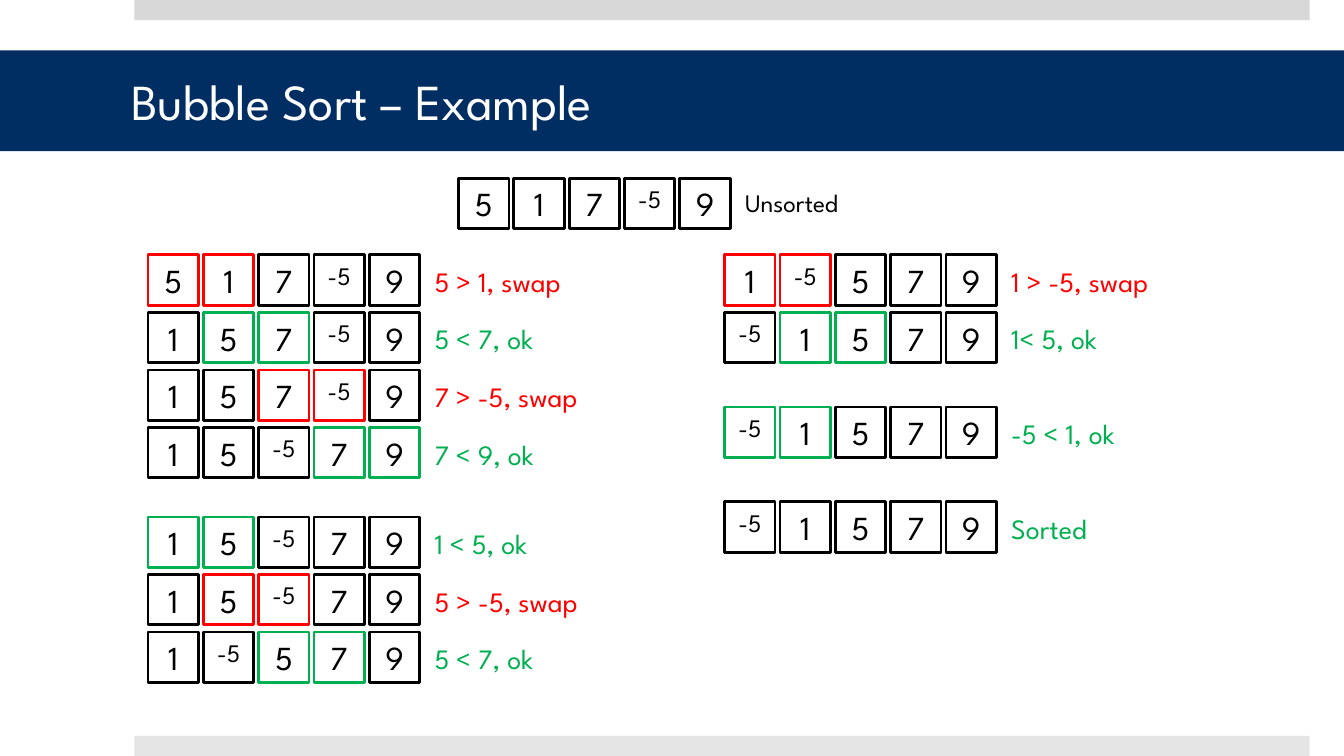
"""Build the bubble sort example slide."""
from pptx import Presentation
from pptx.dml.color import RGBColor
from pptx.enum.shapes import MSO_SHAPE as SHAPE
from pptx.enum.text import MSO_ANCHOR as ANCHOR, PP_ALIGN as ALIGN
from pptx.util import Pt

FONT = "League Spartan"
BLACK = RGBColor(0x00, 0x00, 0x00)
WHITE = RGBColor(0xFF, 0xFF, 0xFF)
NAVY = RGBColor(0x00, 0x2D, 0x62)
RED = RGBColor(0xFF, 0x00, 0x00)
GREEN = RGBColor(0x00, 0xB0, 0x50)
TOP_GRAY = RGBColor(0xD8, 0xD8, 0xD8)
BOTTOM_GRAY = RGBColor(0xE5, 0xE5, 0xE5)

TITLE = "Bubble Sort – Example"
# Each pass: left, top, label size, rows of (values, compared index, label, colour)
PASSES = [
    (327.6, 127.4, 18, [("5 1 7 -5 9", None, "Unsorted", BLACK)]),
    (105.8, 182.1, 20, [
        ("5 1 7 -5 9", 0, "5 > 1, swap", RED),
        ("1 5 7 -5 9", 1, "5 < 7, ok", GREEN),
        ("1 5 7 -5 9", 2, "7 > -5, swap", RED),
        ("1 5 -5 7 9", 3, "7 < 9, ok", GREEN),
    ]),
    (105.8, 369.3, 20, [
        ("1 5 -5 7 9", 0, "1 < 5, ok", GREEN),
        ("1 5 -5 7 9", 1, "5 > -5, swap", RED),
        ("1 -5 5 7 9", 2, "5 < 7, ok", GREEN),
    ]),
    (517.7, 182.1, 20, [
        ("1 -5 5 7 9", 0, "1 > -5, swap", RED),
        ("-5 1 5 7 9", 1, "1< 5, ok", GREEN),
    ]),
    (517.7, 290.8, 20, [("-5 1 5 7 9", 0, "-5 < 1, ok", GREEN)]),
    (517.7, 358.5, 20, [("-5 1 5 7 9", None, "Sorted", GREEN)]),
]
CELL, PITCH, ROW_PITCH, LABEL_DROP = 36, 39.5, 41.1, 3.2


def write(sp, text, size, color, align=ALIGN.LEFT):
    tf = sp.text_frame
    tf.word_wrap = True
    tf.vertical_anchor = ANCHOR.TOP
    p = tf.paragraphs[0]
    p.text, p.alignment = text, align
    p.font.name, p.font.size = FONT, Pt(size)
    p.font.color.rgb = color
    return tf


def add_rect(x, y, w, h, fill, line=None):
    sp = s.shapes.add_shape(SHAPE.RECTANGLE, Pt(x), Pt(y), Pt(w), Pt(h))
    sp.shadow.inherit = False
    sp.fill.solid()
    sp.fill.fore_color.rgb = fill
    if line is None:
        sp.line.fill.background()
    else:
        sp.line.color.rgb, sp.line.width = line, Pt(2)
    return sp


def add_row(x, y, values, compared, label, color, size):
    pair = () if compared is None else (compared, compared + 1)
    numbers = values.split()
    for i, number in enumerate(numbers):
        sp = add_rect(x + i * PITCH, y, CELL, CELL, WHITE, color if i in pair else BLACK)
        write(sp, number, 18 if number.startswith("-") else 24, BLACK, ALIGN.CENTER)
    width = 137 if "swap" in label else 106.5
    sp = s.shapes.add_textbox(Pt(x + len(numbers) * PITCH), Pt(y + LABEL_DROP),
                              Pt(width), Pt(size * 1.6))
    write(sp, label, size, color)


prs = Presentation()
prs.slide_width, prs.slide_height = Pt(960), Pt(540)
s = prs.slides.add_slide(prs.slide_layouts[6])

add_rect(96, 0, 839.5, 14.4, TOP_GRAY)
add_rect(96, 525.6, 839.5, 14.4, BOTTOM_GRAY)
tf = write(add_rect(0, 36, 960, 72, NAVY), TITLE, 36, WHITE)
tf.vertical_anchor = ANCHOR.MIDDLE
tf.margin_left, tf.margin_right = Pt(93.6), Pt(21.6)

for left, top, size, rows in PASSES:
    for n, row in enumerate(rows):
        add_row(left, top + n * ROW_PITCH, *row, size)

prs.save("out.pptx")
